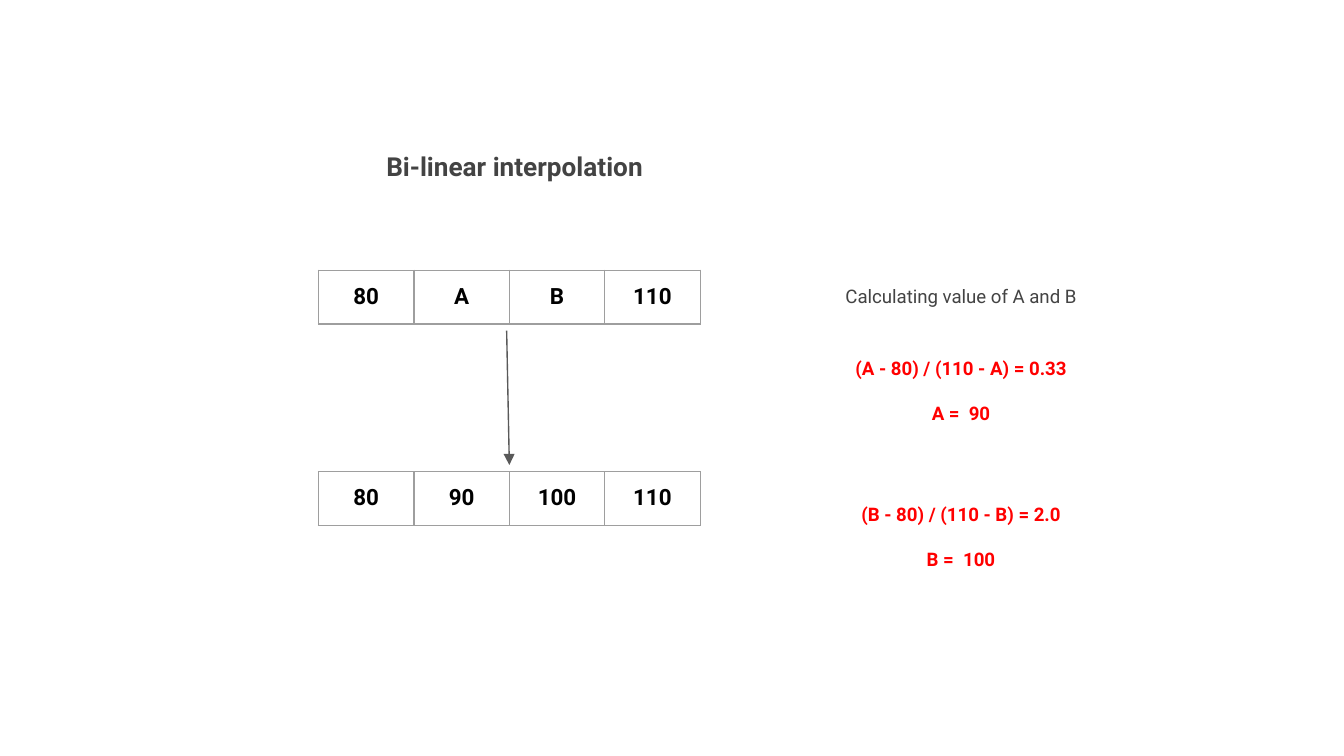
from lxml.etree import SubElement
from pptx import Presentation
from pptx.dml.color import RGBColor
from pptx.enum.shapes import MSO_CONNECTOR
from pptx.enum.text import MSO_ANCHOR, PP_ALIGN
from pptx.oxml.ns import qn
from pptx.util import Inches, Pt

FONT = "Roboto"
BLACK = RGBColor(0x00, 0x00, 0x00)
DARK = RGBColor(0x43, 0x43, 0x43)
RED = RGBColor(0xFF, 0x00, 0x00)
ARROW = RGBColor(0x59, 0x59, 0x59)
BORDER = RGBColor(0x9E, 0x9E, 0x9E)

# lines, (left, top, width, height), size, colour, bold
TEXTS = [
    (["Bi-linear interpolation"], (1.66, 0.92, 4.34, 0.59), 14, DARK, True),
    (["Calculating value of A and B"], (6.1, 2.04, 2.1, 0.33), 10, DARK, False),
    (["(A - 80) / (110 - A) = 0.33", "A =  90"], (6.1, 2.61, 2.1, 0.59), 10, RED, True),
    (["(B - 80) / (110 - B) = 2.0", "B =  100"], (6.1, 3.7, 2.1, 0.59), 10, RED, True),
]
# top, values
PIXEL_ROWS = [
    (2.01, ["80", "A", "B", "110"]),
    (3.51, ["80", "90", "100", "110"]),
]
ROW_LEFT, CELL_W, CELL_H = 2.37, 0.71, 0.21  # the text makes the row taller
INSET = Inches(0.1)


def set_insets(target):
    target.margin_left = target.margin_right = INSET
    target.margin_top = target.margin_bottom = INSET


def format_paragraph(p, size, color, bold):
    p.alignment = PP_ALIGN.CENTER
    for r in p.runs:
        r.font.name = FONT
        r.font.size = Pt(size)
        r.font.bold = bold
        r.font.color.rgb = color


def add_text(slide, lines, box, size, color, bold):
    tf = slide.shapes.add_textbox(*map(Inches, box)).text_frame
    tf.word_wrap = True
    tf.vertical_anchor = MSO_ANCHOR.MIDDLE
    set_insets(tf)
    tf.text = "\n".join(lines)
    for i, p in enumerate(tf.paragraphs):
        format_paragraph(p, size, color, bold)
        if i:
            p.space_before = Pt(12)
    return tf


def set_borders(cell):
    tc_pr = cell._tc.get_or_add_tcPr()
    for i, side in enumerate(("a:lnL", "a:lnR", "a:lnT", "a:lnB")):
        ln = tc_pr.makeelement(qn(side), {"w": str(Pt(0.75))})
        fill = SubElement(ln, qn("a:solidFill"))
        SubElement(fill, qn("a:srgbClr"), val=str(BORDER))
        tc_pr.insert(i, ln)


def add_pixel_row(slide, top, values):
    table = slide.shapes.add_table(
        1, len(values), Inches(ROW_LEFT), Inches(top),
        Inches(CELL_W * len(values)), Inches(CELL_H)).table
    table.first_row = table.horz_banding = False
    for column, cell, value in zip(table.columns, table.rows[0].cells, values):
        column.width = Inches(CELL_W)
        cell.text = value
        set_insets(cell)
        cell.fill.background()
        format_paragraph(cell.text_frame.paragraphs[0], 12, BLACK, True)
        set_borders(cell)


def add_arrow(slide, start, end):
    line = slide.shapes.add_connector(
        MSO_CONNECTOR.STRAIGHT, *map(Inches, start + end))
    line.line.color.rgb = ARROW
    line.line.width = Pt(0.75)
    SubElement(line.line._get_or_add_ln(), qn("a:tailEnd"), type="triangle")
    SubElement(line._element.spPr, qn("a:effectLst"))


def main():
    prs = Presentation()
    prs.slide_width = Inches(10)
    prs.slide_height = prs.slide_width * 9 // 16
    slide = prs.slides.add_slide(prs.slide_layouts[6])
    title, *_ = [add_text(slide, *text) for text in TEXTS]
    title.paragraphs[0].line_spacing = 1.15
    for top, values in PIXEL_ROWS:
        add_pixel_row(slide, top, values)
    add_arrow(slide, (3.77, 2.46), (3.79, 3.46))
    prs.save("out.pptx")


if __name__ == "__main__":
    main()
